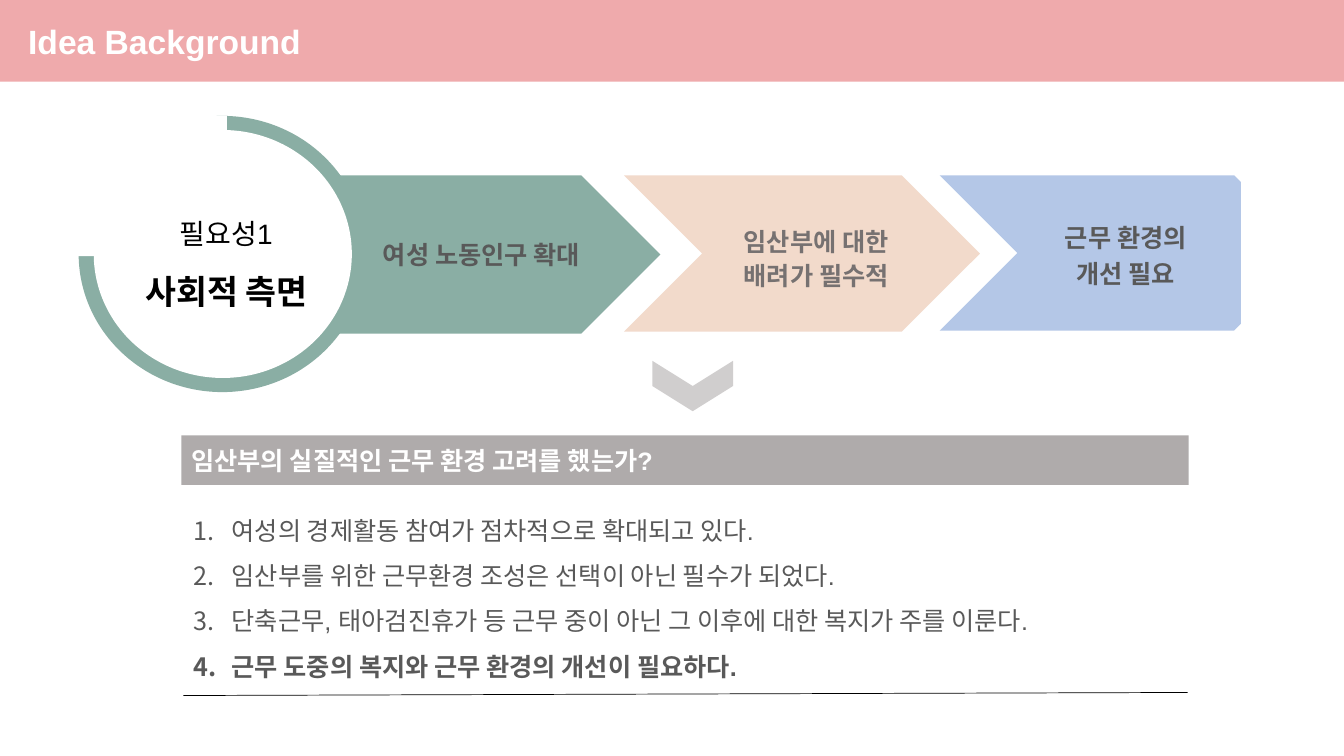
"""Build the Idea Background slide: a chain of arrows leading to a numbered list."""
from dataclasses import dataclass

from lxml import etree
from pptx import Presentation
from pptx import util as u
from pptx.dml.color import RGBColor
from pptx.enum import shapes, text
from pptx.oxml import ns

KIND = shapes.MSO_SHAPE
LEFT, CENTER = text.PP_ALIGN.LEFT, text.PP_ALIGN.CENTER
MIDDLE, TOP = text.MSO_ANCHOR.MIDDLE, text.MSO_ANCHOR.TOP
KOREAN = "Noto Sans CJK KR"
GREEN, WHITE, DARK = "8AAEA4", "FFFFFF", "595959"


@dataclass(frozen=True)
class Para:
    """One paragraph with its text format."""
    words: str
    size: float = 18
    color: str = DARK
    bold: bool = True
    font: str = KOREAN
    pitch: float | None = None


@dataclass(frozen=True)
class Box:
    """One shape, or a text box when it has no fill."""
    left: float
    top: float
    width: float
    height: float
    fill: str | None = None
    kind: KIND = KIND.RECTANGLE
    paras: tuple[Para, ...] = ()
    align: text.PP_ALIGN = CENTER
    anchor: text.MSO_ANCHOR = MIDDLE
    margin: float = 0.1
    turn: float = 0
    numbered: bool = False


def apply(target: object, values: dict[str, object]) -> None:
    """Set each named attribute on the target."""
    for name, value in values.items():
        setattr(target, name, value)


def color(code: str) -> RGBColor:
    """Turn a hex string into a colour."""
    return RGBColor.from_string(code)


def number(para: object) -> None:
    """Give a paragraph a hanging automatic number."""
    properties = para._p.get_or_add_pPr()
    indent = u.Inches(0.38)
    properties.set("marL", str(indent))
    properties.set("indent", str(-indent))
    font = etree.SubElement(properties, ns.qn("a:buFont"))
    font.set("typeface", KOREAN)
    etree.SubElement(properties, ns.qn("a:buAutoNum")).set("type", "arabicPeriod")


def write(frame: object, box: Box) -> None:
    """Write the paragraphs of a box into its text frame."""
    apply(frame, {"word_wrap": True, "vertical_anchor": box.anchor,
                  "margin_left": u.Inches(box.margin)})
    for index, item in enumerate(box.paras):
        para = frame.add_paragraph() if index else frame.paragraphs[0]
        apply(para, {"alignment": box.align,
                     "line_spacing": u.Pt(item.pitch) if item.pitch else None})
        if box.numbered:
            number(para)
        span = para.add_run()
        span.text = item.words
        span.font.color.rgb = color(item.color)
        apply(span.font, {"size": u.Pt(item.size), "bold": item.bold, "name": item.font})
        etree.SubElement(span.font._element, ns.qn("a:ea")).set("typeface", KOREAN)


def draw(page: object, box: Box) -> None:
    """Draw one box on the page."""
    place = [u.Inches(side) for side in (box.left, box.top, box.width, box.height)]
    if box.fill is None:
        shape = page.shapes.add_textbox(*place)
    else:
        shape = page.shapes.add_shape(box.kind, *place)
        shape.fill.solid()
        shape.fill.fore_color.rgb = color(box.fill)
        shape.line.fill.background()
        shape.shadow.inherit = False
        shape.rotation = box.turn
    if box.paras:
        write(shape.text_frame, box)


def rule(page: object, start: tuple[float, float], end: tuple[float, float]) -> None:
    """Draw the thin closing line under the list."""
    ends = [u.Inches(value) for value in (*start, *end)]
    line = page.shapes.add_connector(shapes.MSO_CONNECTOR.STRAIGHT, *ends)
    line.line.color.rgb = color("000000")
    line.line.width = u.Pt(0.5)
    etree.SubElement(line._element.spPr, ns.qn("a:effectLst"))


REASONS = (
    "여성의 경제활동 참여가 점차적으로 확대되고 있다.",
    "임산부를 위한 근무환경 조성은 선택이 아닌 필수가 되었다.",
    "단축근무, 태아검진휴가 등 근무 중이 아닌 그 이후에 대한 복지가 주를 이룬다.",
    "근무 도중의 복지와 근무 환경의 개선이 필요하다.",
)
ARROWS = (
    Box(3.33, 1.74, 3.22, 1.57, GREEN, KIND.PENTAGON,
        (Para("여성 노동인구 확대"),), margin=0.16),
    Box(9.32, 1.74, 3.69, 1.54, "B4C7E7", KIND.CHEVRON,
        tuple(Para(words, pitch=25.7) for words in ("근무 환경의", "개선 필요"))),
    Box(12.31, 1.74, 0.88, 1.55, WHITE),
    Box(6.19, 1.74, 3.53, 1.55, "F2DACB", KIND.CHEVRON),
    Box(6.87, 2.18, 2.45, 0.74, paras=tuple(
        Para(words, color="767171", pitch=24.3)
        for words in ("임산부에 대한", "배려가 필수적"))),
    Box(6.62, 3.43, 0.5, 0.8, "D0CECE", KIND.CHEVRON, turn=90),
)
QUESTION = (
    Box(1.8, 4.32, 9.99, 0.49, "AFABAB", align=LEFT, paras=(
        Para("임산부의 실질적인 근무 환경 고려를 했는가?", color=WHITE, font="Arial"),)),
    Box(1.82, 4.91, 9.97, 1.87, align=LEFT, anchor=TOP, numbered=True, paras=tuple(
        Para(words, bold=words == REASONS[-1], font="Arial", pitch=32.4)
        for words in REASONS)),
)
RING = (
    Box(0.78, 1.15, 2.85, 2.74, GREEN, KIND.FLOWCHART_CONNECTOR),
    Box(0.93, 1.29, 2.56, 2.46, WHITE, KIND.FLOWCHART_CONNECTOR),
    Box(0.7, 1.15, 1.55, 1.39, WHITE),
    Box(1.23, 1.91, 2.03, 1.13, anchor=TOP, paras=(
        Para("필요성1", 20, "000000", False, "Arial", 37.5),
        Para("사회적 측면", 24, "000000", True, "Arial", 44))),
)
HEADER = Box(0, 0, 13.33, 0.81, "EFAAAC", align=LEFT, margin=0.28, paras=(
    Para("Idea Background", 24, WHITE, font="Arial"),))


def main() -> None:
    """Build and save the deck."""
    deck = Presentation()
    apply(deck, {"slide_width": u.Inches(13.33), "slide_height": u.Inches(7.5)})
    page = deck.slides.add_slide(deck.slide_layouts[6])
    for box in (*ARROWS, *QUESTION):
        draw(page, box)
    rule(page, (1.82, 6.9), (11.78, 6.87))
    for box in (*RING, HEADER):
        draw(page, box)
    deck.save("out.pptx")


if __name__ == "__main__":
    main()
